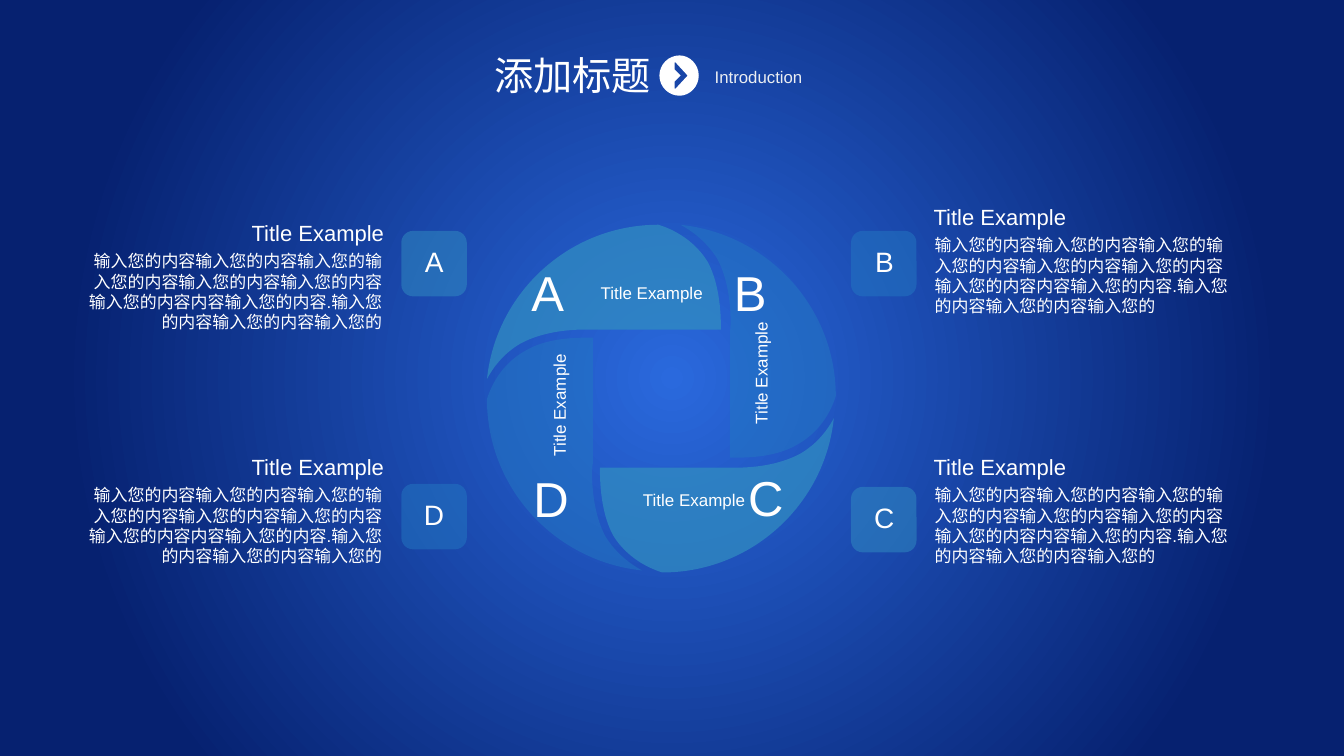
from lxml.etree import SubElement
from pptx import Presentation
from pptx.dml.color import RGBColor as RGB
from pptx.enum.shapes import MSO_SHAPE as SHAPE
from pptx.enum.text import MSO_ANCHOR as ANCHOR, MSO_AUTO_SIZE as AUTO, PP_ALIGN as ALIGN
from pptx.oxml.ns import qn
from pptx.util import Inches, Pt

COLORS = {
    "glow": "2A69DD", "navy": "062170", "white": "FFFFFF",
    "pale": "EBEEF2", "teal": "328FC1", "blue": "2378C2",
}
TITLE = "Title Example"
BODY = ("输入您的内容输入您的内容输入您的输入您的内容输入您的内容输入您的内容"
        "输入您的内容内容输入您的内容.输入您的内容输入您的内容输入您的")


def half_turn(contour, cx, cy):
    return [tuple(2 * (cy if i % 2 else cx) - v for i, v in enumerate(seg))
            for seg in contour]


class Deck:
    font = "Arial"

    def __init__(self, width, height):
        self.prs = Presentation()
        self.prs.slide_width, self.prs.slide_height = Inches(width), Inches(height)
        self.s = self.prs.slides.add_slide(self.prs.slide_layouts[6])

    def background(self, inner, outer, reach):
        fill = self.s.background.fill
        fill.gradient()
        for stop, color, pos in zip(fill.gradient_stops, (inner, outer), (0, reach)):
            stop.color.rgb = RGB.from_string(COLORS[color])
            stop.position = pos
        grad = self.s.element.find(".//" + qn("a:gradFill"))
        grad.remove(grad.find(qn("a:lin")))
        radial = SubElement(grad, qn("a:path"), path="circle")
        SubElement(radial, qn("a:fillToRect"), dict.fromkeys("ltrb", "50000"))

    def paint(self, sp, color, alpha=100):
        sp.shadow.inherit = False
        sp.line.fill.background()
        sp.fill.solid()
        sp.fill.fore_color.rgb = RGB.from_string(COLORS[color])
        if alpha < 100:
            clr = sp.element.spPr.find(".//" + qn("a:srgbClr"))
            SubElement(clr, qn("a:alpha"), val=str(alpha * 1000))

    def outline(self, contours, color, alpha=100):
        """Each contour is a start point, then lines (2 numbers) or cubic curves (6)."""
        contours = [[tuple(map(Inches, seg)) for seg in c] for c in contours]
        fb = self.s.shapes.build_freeform(*contours[0][0], scale=1.0)
        for i, (start, *segs) in enumerate(contours):
            if i:
                fb.move_to(*start)
            fb.add_line_segments([seg[-2:] for seg in segs], close=True)
        sp = fb.convert_to_shape()
        # Bend the straight segments that have control points
        lines = list(sp.element.iter(qn("a:lnTo")))
        for line, seg in zip(lines, [seg for c in contours for seg in c[1:]]):
            if len(seg) == 6:
                curve = line.makeelement(qn("a:cubicBezTo"))
                for x, y in zip(seg[::2], seg[1::2]):
                    SubElement(curve, qn("a:pt"), x=str(x - sp.left), y=str(y - sp.top))
                line.getparent().replace(line, curve)
        self.paint(sp, color, alpha)

    def badge(self, x, y, size, color):
        sp = self.s.shapes.add_shape(
            SHAPE.ROUNDED_RECTANGLE, *map(Inches, (x, y, size, size)))
        sp.adjustments[0] = 0.18
        self.paint(sp, color, 50)

    def text(self, text, box, size, color="white", align=ALIGN.LEFT, inset=0,
             rotation=0, **frame):
        sp = self.s.shapes.add_textbox(*map(Inches, box))
        sp.rotation = rotation
        tf = sp.text_frame
        fmt = {"word_wrap": True, "auto_size": AUTO.SHAPE_TO_FIT_TEXT}
        if inset is not None:
            for side in ("left", "top", "right", "bottom"):
                fmt["margin_" + side] = Inches(inset)
        for name, value in {**fmt, **frame}.items():
            setattr(tf, name, value)
        p = tf.paragraphs[0]
        p.alignment = align
        r = p.add_run()
        r.text = text
        for name, value in {"name": self.font, "size": Pt(size)}.items():
            setattr(r.font, name, value)
        r.font.color.rgb = RGB.from_string(COLORS[color])


def main():
    deck = Deck(13.33, 7.5)
    deck.background("glow", "navy", 0.79)

    # Header: disc with a chevron cut out, heading and subtitle
    disc = [(6.74, 0.55),
            (6.63, 0.55, 6.54, 0.64, 6.54, 0.75), (6.54, 0.86, 6.63, 0.95, 6.74, 0.95),
            (6.84, 0.95, 6.93, 0.86, 6.93, 0.75), (6.93, 0.64, 6.84, 0.55, 6.74, 0.55)]
    chevron = [(6.82, 0.75), (6.70, 0.88), (6.69, 0.88), (6.69, 0.81),
               (6.75, 0.75), (6.69, 0.69), (6.69, 0.62), (6.70, 0.62)]
    deck.outline([disc, chevron], "white")
    deck.text("Introduction", (6.99, 0.61, 1.59, 0.3), 12, "pale", inset=None)
    deck.text("添加标题", (4.37, 0.46, 2.62, 0.57), 28, align=ALIGN.CENTER, inset=None)

    # Wheel: two petals, each repeated by a half turn
    top = [
        (5.16, 3.41), (5.38, 3.29, 5.65, 3.27, 5.80, 3.27),
        (5.85, 3.27, 5.89, 3.27, 5.89, 3.27), (7.15, 3.27),
        (7.15, 3.17, 7.15, 2.84, 7.02, 2.60), (6.85, 2.32, 6.56, 2.24, 6.53, 2.23),
        (5.65, 2.23, 4.92, 2.90, 4.83, 3.76), (4.89, 3.65, 4.99, 3.51, 5.16, 3.41)]
    right = [
        (7.24, 4.54), (7.26, 4.54, 7.28, 4.54, 7.31, 4.54),
        (7.45, 4.54, 7.71, 4.53, 7.91, 4.41), (8.20, 4.25, 8.28, 3.96, 8.29, 3.93),
        (8.29, 3.04, 7.61, 2.32, 6.75, 2.23), (6.86, 2.29, 7.00, 2.39, 7.11, 2.56),
        (7.27, 2.85, 7.25, 3.26, 7.24, 3.29), (7.24, 4.54)]
    petals = [
        ("A", top, "teal", 70, (5.27, 2.60), (5.58, 2.80), 0),
        ("C", half_turn(top, 6.55, 3.955), "teal", 70, (7.42, 4.64), (6.00, 4.86), 0),
        ("B", right, "blue", 50, (7.28, 2.60), (6.85, 3.79), 270),
        ("D", half_turn(right, 6.56, 3.945), "blue", 50, (5.29, 4.65), (4.85, 4.11), 270),
    ]
    for letter, contour, color, alpha, letter_at, label_at, turn in petals:
        deck.outline([contour], color, alpha)
        deck.text(letter, (*letter_at, 0.54, 0.59), 35)
        deck.text(TITLE, (*label_at, 1.39, 0.2), 12.1, align=ALIGN.RIGHT, rotation=turn)

    # Lettered badges
    for letter, x, y, color, width in [
            ("B", 8.44, 2.29, "blue", 0.30), ("C", 8.44, 4.83, "teal", 0.32),
            ("A", 3.98, 2.29, "teal", 0.31), ("D", 3.98, 4.80, "blue", 0.33)]:
        deck.badge(x, y, 0.65, color)
        deck.text(letter, (x + 0.33 - width / 2, y + 0.08, width, 0.45), 20, inset=0.06,
                  word_wrap=False, vertical_anchor=ANCHOR.MIDDLE)

    # Descriptions beside the badges
    for title_x, body_x, y, align in [
            (0.78, 0.78, 2.18, ALIGN.RIGHT), (0.78, 0.78, 4.50, ALIGN.RIGHT),
            (9.26, 9.27, 4.50, ALIGN.LEFT), (9.26, 9.27, 2.02, ALIGN.LEFT)]:
        deck.text(TITLE, (title_x, y, 3.03, 0.26), 15.7, align=align)
        deck.text(BODY, (body_x, y + 0.31, 3.01, 0.82), 12.1, align=align)

    deck.prs.save("out.pptx")


if __name__ == "__main__":
    main()
